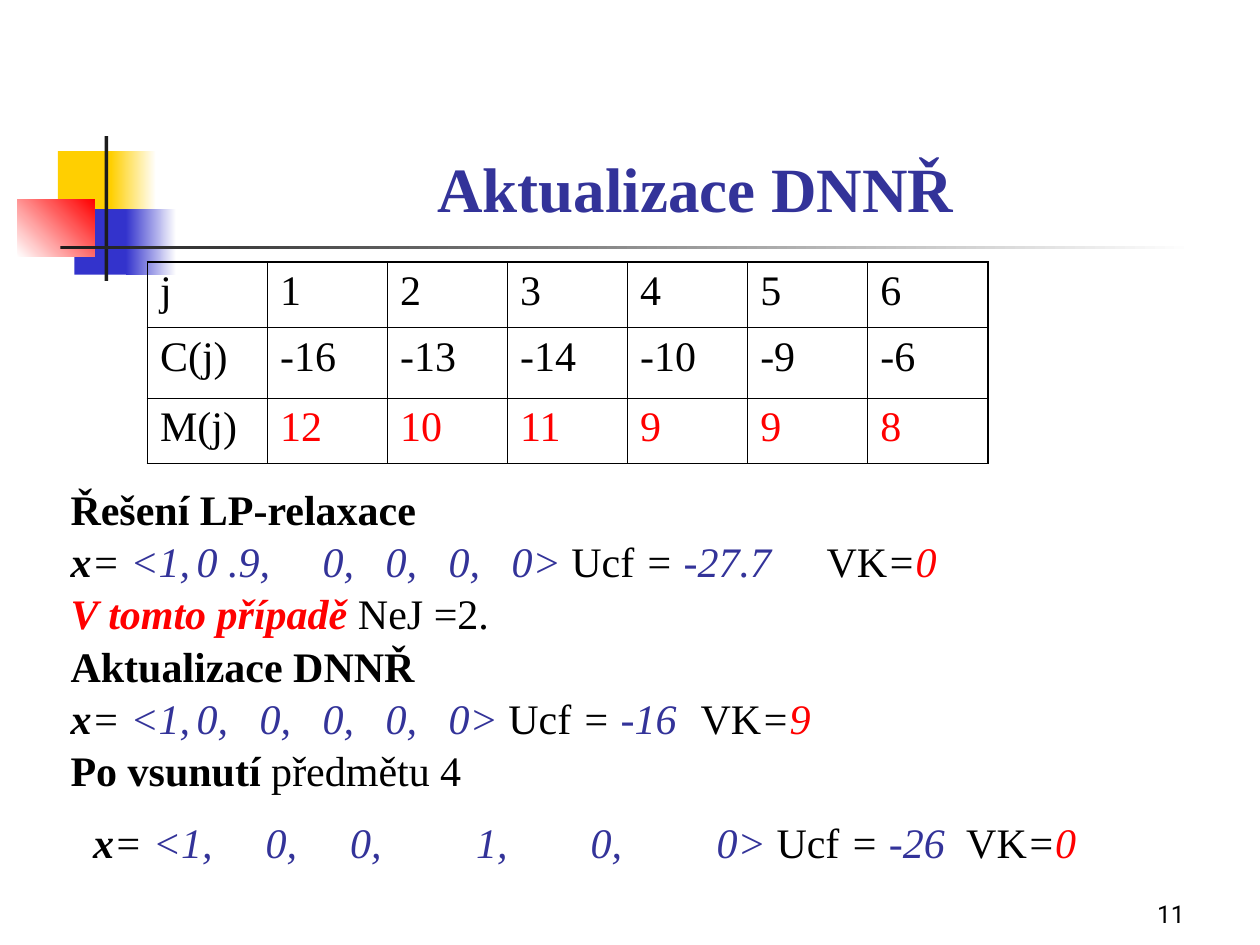
from lxml.etree import SubElement
from pptx import Presentation
from pptx.dml.color import RGBColor
from pptx.enum.shapes import MSO_SHAPE
from pptx.enum.text import MSO_ANCHOR, MSO_AUTO_SIZE, PP_ALIGN
from pptx.oxml.ns import qn
from pptx.util import Inches, Pt

WIDTH, HEIGHT = Inches(10), Inches(7.5)
SERIF = "Times New Roman"
COLORS = {"black": "000000", "navy": "333399", "red": "FF0000", "yellow": "FFCF01",
          "blue": "3333CC", "white": "FFFFFF", "dark": "1C1C1C"}
DECORATIONS = [
    ((4.6, 16, 4.8, 6.93), ["yellow"], 0),
    ((8.8, 16, 3.6, 6.93), ["yellow", "white"], 0),
    ((5.9, 22.13, 4.6, 6.93), ["blue"], 0),
    ((10, 22.13, 4, 6.93), ["blue", "white"], 0),
    ((1.4, 21.07, 6.1, 6.13), ["white", "red"], 45),
    ((8.3, 14.4, 0.3, 15.33), ["dark"], 0),
    ((4.8, 26, 90, 0.4), ["dark", "white"], 0),
]
ROWS = [
    ["j", "1", "2", "3", "4", "5", "6"],
    ["C(j)", "-16", "-13", "-14", "-10", "-9", "-6"],
    ["M(j)", "12", "10", "11", "9", "9", "8"],
]
ROW_HEIGHTS = [0.52, 0.56, 0.52]
INTEGER_TABS = [1.37, 2.04, 3.04, 3.95, 4.95, 6.93]
FRACTION_TABS = [1.37, 2.37, 3.37, 4.29, 5.28, 7.52]


def color(name):
    """Return the named colour."""
    return RGBColor.from_string(COLORS[name])


def area(left, top, width, height):
    """Turn percentages of the slide into lengths."""
    return tuple(round(side * share / 100) for side, share in
                 zip((WIDTH, HEIGHT, WIDTH, HEIGHT), (left, top, width, height)))


def move(shape, place):
    """Move and size a shape."""
    shape.left, shape.top, shape.width, shape.height = area(*place)


def style(span, tint="black", size=24, face=SERIF, bold=False, italic=False):
    """Format one run."""
    font = span.font
    font.name, font.size, font.bold, font.italic = face, Pt(size), bold, italic
    font.color.rgb = color(tint)


def add_decoration(page, place, tints, angle):
    """Add a borderless rectangle with a plain or graded fill."""
    box = page.shapes.add_shape(MSO_SHAPE.RECTANGLE, *area(*place))
    box.shadow.inherit = False
    box.line.fill.background()
    if len(tints) == 1:
        box.fill.solid()
        box.fill.fore_color.rgb = color(tints[0])
        return
    box.fill.gradient()
    box.fill.gradient_angle = angle
    for stop, tint in zip(box.fill.gradient_stops, tints):
        stop.color.rgb = color(tint)


def add_border(cell, side, width):
    """Draw one side of a cell."""
    properties = cell._tc.get_or_add_tcPr()
    line = SubElement(properties, qn(f"a:ln{side}"), w=str(Pt(width)))
    fill = SubElement(line, qn("a:solidFill"))
    SubElement(fill, qn("a:srgbClr"), val=COLORS["black"])


def add_values(page):
    """Add the table of costs and weights."""
    last_row, last_column = len(ROWS) - 1, len(ROWS[0]) - 1
    frame = page.shapes.add_table(len(ROWS), len(ROWS[0]), *area(11.7, 27.73, 66.7, 21.33))
    table = frame.table
    table.first_row = table.horz_banding = False
    for row, height in enumerate(ROW_HEIGHTS):
        table.rows[row].height = Inches(height)
        for column, value in enumerate(ROWS[row]):
            cell = table.cell(row, column)
            cell.text = value
            tint = "red" if row == last_row and column else "black"
            style(cell.text_frame.paragraphs[0].runs[0], tint)
            outer = {"L": column == 0, "R": column == last_column,
                     "T": row == 0, "B": row == last_row}
            for side, is_outer in outer.items():
                add_border(cell, side, 1.08 if is_outer else 0.45)
            cell.fill.background()


def add_tabs(para, stops):
    """Give a paragraph left tab stops."""
    tabs = SubElement(para._p.get_or_add_pPr(), qn("a:tabLst"))
    for stop in stops:
        SubElement(tabs, qn("a:tab"), pos=str(Inches(stop)), algn="l")


def fill_para(para, spans):
    """Write the runs of a paragraph with their formats."""
    for text, look in spans:
        span = para.add_run()
        span.text = text
        style(span, **look)


def solution(values, cost, slack):
    """Return the runs of a solution vector with its cost and slack."""
    slanted = {"italic": True}
    vector = {"italic": True, "tint": "navy"}
    return [("x", {"bold": True, "italic": True}), ("= ", slanted),
            ("<" + ",\t".join(values) + "> ", vector), ("Ucf ", {}), ("=", slanted),
            (f" {cost}\t", vector), ("VK", {}), ("=", slanted),
            (slack, {"italic": True, "tint": "red"})]


def fill_body(body):
    """Write the solution steps into the body placeholder."""
    move(body, (2.5, 51.07, 95, 43.33))
    frame = body.text_frame
    frame.auto_size = MSO_AUTO_SIZE.NONE
    frame.margin_left = Inches(0.31)
    bold = {"bold": True}
    lines = [
        ([("Řešení LP-relaxace", bold)], []),
        (solution(["1", "0 .9", "0", "0", "0", "0"], "-27.7", "0"), FRACTION_TABS),
        ([("V tomto případě ", {"bold": True, "italic": True, "tint": "red"}),
          ("NeJ =2.", {})], []),
        ([("Aktualizace DNNŘ", bold)], []),
        (solution(["1", "0", "0", "0", "0", "0"], "-16", "9"), INTEGER_TABS),
        ([("Po vsunutí ", bold), ("předmětu 4", {})], []),
    ]
    for index, (spans, stops) in enumerate(lines):
        para = frame.add_paragraph() if index else frame.paragraphs[0]
        para.line_spacing = 0.9
        para.space_before = Pt(4 if index else 0)
        properties = para._p.get_or_add_pPr()
        properties.set("marL", "0")
        properties.set("indent", "0")
        SubElement(properties, qn("a:buNone"))
        if stops:
            add_tabs(para, stops)
        fill_para(para, spans)


def add_label(page, place, spans, stops=(), align=PP_ALIGN.LEFT, anchor=MSO_ANCHOR.TOP):
    """Add a one-line text box."""
    frame = page.shapes.add_textbox(*area(*place)).text_frame
    frame.word_wrap = True
    frame.vertical_anchor = anchor
    para = frame.paragraphs[0]
    para.alignment = align
    if stops:
        add_tabs(para, stops)
    fill_para(para, spans)


def main():
    """Build the slide."""
    deck = Presentation()
    deck.slide_width, deck.slide_height = WIDTH, HEIGHT
    page = deck.slides.add_slide(deck.slide_layouts[1])
    for place, tints, angle in DECORATIONS:
        add_decoration(page, place, tints, angle)
    title = page.shapes.title
    move(title, (12.6, 5.6, 85.2, 18.93))
    title.text_frame.text = "Aktualizace DNNŘ"
    title.text_frame.vertical_anchor = MSO_ANCHOR.BOTTOM
    style(title.text_frame.paragraphs[0].runs[0], "navy", 36, bold=True)
    fill_body(page.placeholders[1])
    add_values(page)
    add_label(page, (6.4, 85.73, 80, 6.67),
              solution(["1", "0", "0", "1", "0", "0"], "-26", "0"), INTEGER_TABS)
    add_label(page, (74.2, 92.27, 20.8, 6.67), [("11", {"size": 14, "face": "Roboto"})],
              align=PP_ALIGN.RIGHT, anchor=MSO_ANCHOR.BOTTOM)
    deck.save("out.pptx")


if __name__ == "__main__":
    main()
